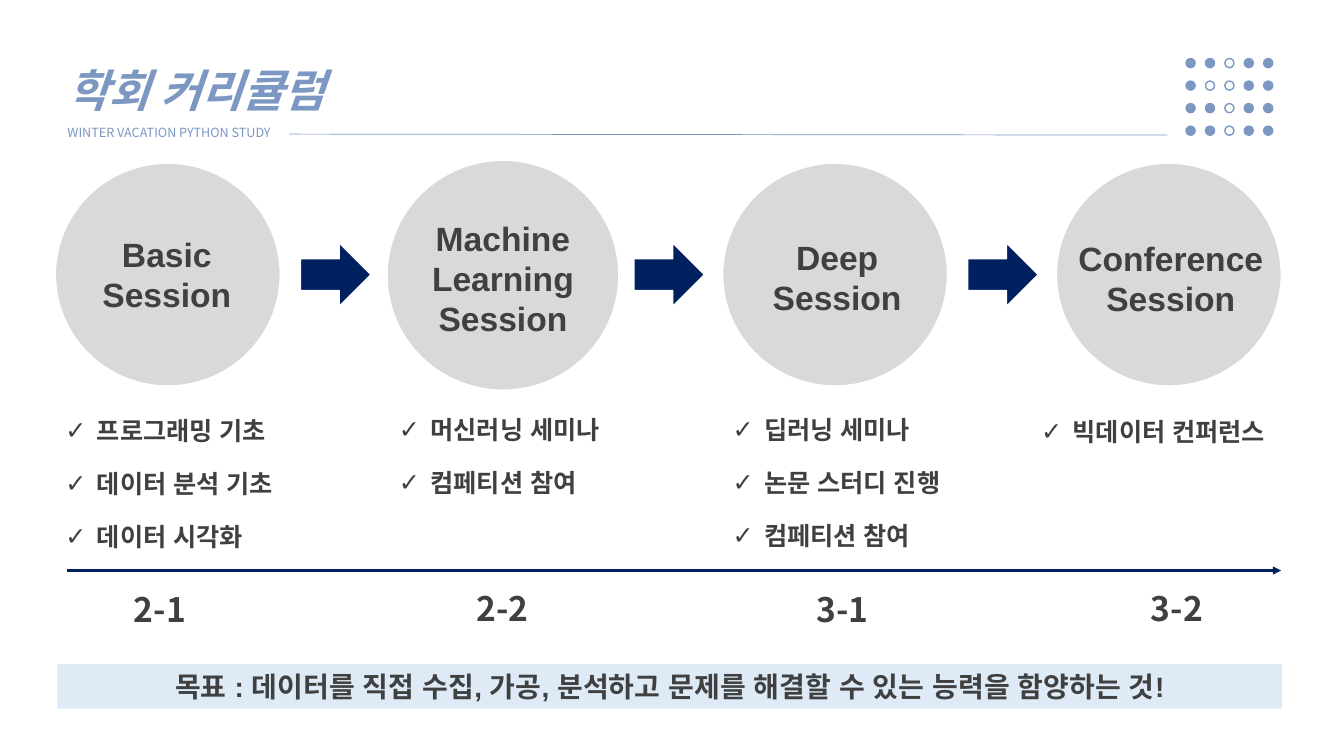
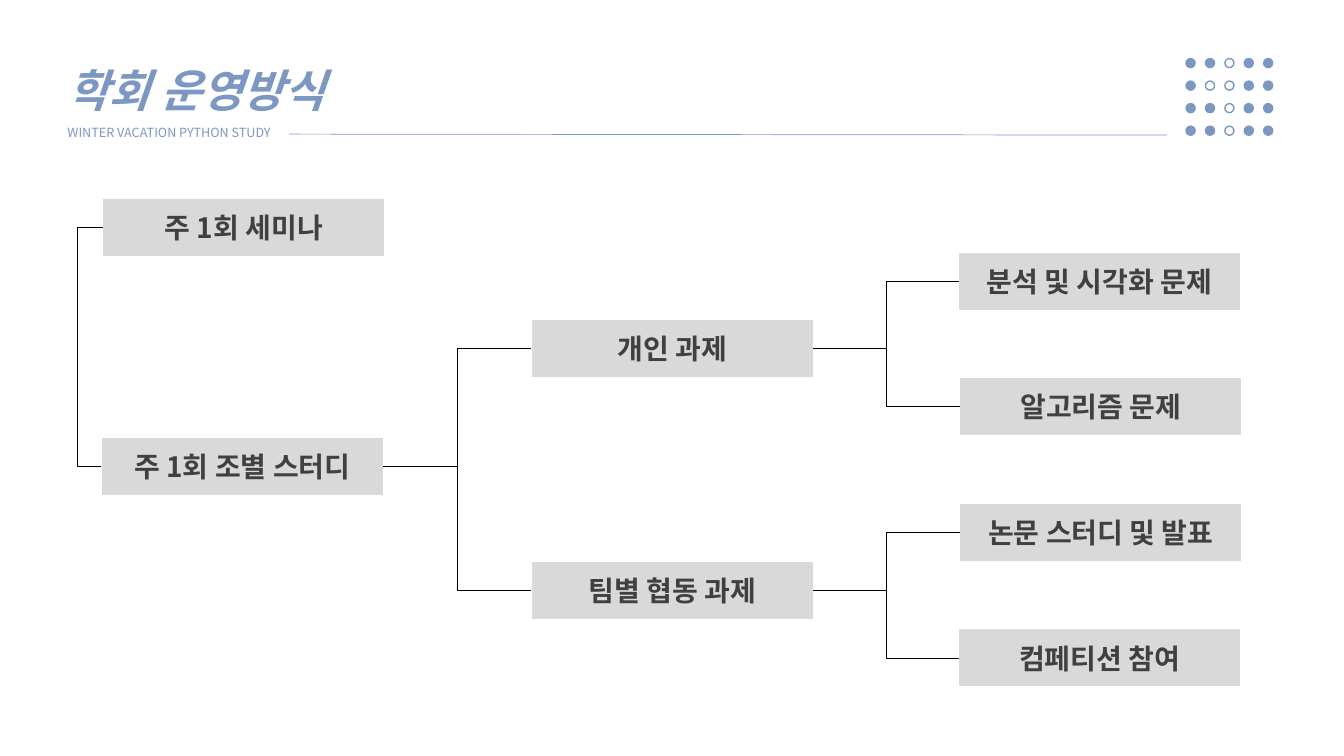
from dataclasses import dataclass
from typing import NamedTuple

from lxml import etree
from pptx import Presentation
from pptx.dml.color import RGBColor
from pptx.enum.shapes import MSO_CONNECTOR, MSO_SHAPE
from pptx.enum.text import MSO_ANCHOR, MSO_AUTO_SIZE, PP_ALIGN
from pptx.oxml.ns import qn
from pptx.util import Pt

STRAIGHT, ELBOW = MSO_CONNECTOR.STRAIGHT, MSO_CONNECTOR.ELBOW
OVAL, RECTANGLE, RIGHT_ARROW = MSO_SHAPE.OVAL, MSO_SHAPE.RECTANGLE, MSO_SHAPE.RIGHT_ARROW
TOP, MIDDLE = MSO_ANCHOR.TOP, MSO_ANCHOR.MIDDLE
LEFT, CENTER = PP_ALIGN.LEFT, PP_ALIGN.CENTER
NO_AUTOFIT = MSO_AUTO_SIZE.NONE

BLUE, NAVY, PALE_BLUE = "7C97C2", "002060", "DEEBF7"
GRAY, DARK, WHITE, BLACK = "D9D9D9", "404040", "FFFFFF", "000000"
KOREAN, LATIN = "Noto Sans CJK KR", "Arial"

SUBTITLE = "WINTER VACATION PYTHON STUDY"
DOT_ROWS = ("●●○●●", "●○○●●", "●●○●●", "●●○●●")
GOAL = "목표 : 데이터를 직접 수집, 가공, 분석하고 문제를 해결할 수 있는 능력을 함양하는 것!"
STAGE_PITCH = 238.3
LEFT_SIDE, RIGHT_SIDE = 1, 3


class Box(NamedTuple):
    """Left, top, width and height in points."""
    left: float
    top: float
    width: float
    height: float


@dataclass(frozen=True)
class TextStyle:
    """Look of a run of text."""
    size: float
    font: str = LATIN
    color: str = DARK
    bold: bool = True
    italic: bool = False


@dataclass(frozen=True)
class Stage:
    """One session of the curriculum."""
    name: tuple[str, ...]
    circle: Box
    label: Box
    topics: tuple[str, ...]
    topics_box: Box
    term: str
    term_box: Box


class Node(NamedTuple):
    """One box of the activity tree."""
    text: str
    left: float
    top: float


TITLE_STYLE = TextStyle(32, KOREAN, BLUE, italic=True)
SUBTITLE_STYLE = TextStyle(9, KOREAN, BLUE, bold=False)
SESSION_STYLE, TOPIC_STYLE, GOAL_STYLE = TextStyle(24), TextStyle(18), TextStyle(20)
TERM_STYLE, NODE_STYLE = TextStyle(24, KOREAN), TextStyle(20, KOREAN)

STAGES = (
    Stage(("Basic", "Session"), Box(39.6, 116.6, 160.6, 159.1), Box(39.6, 163.4, 159.1, 65.5),
          ("프로그래밍 기초", "데이터 분석 기초", "데이터 시각화"),
          Box(39.6, 277.2, 183, 116), "2-1", Box(88.6, 416.9, 63.4, 36)),
    Stage(("Machine", "Learning", "Session"), Box(276.5, 114.5, 165.6, 164.2),
          Box(277.9, 151.9, 162.7, 94.3), ("머신러닝 세미나", "컴페티션 참여"),
          Box(277.9, 276.5, 174.2, 77.8), "2-2", Box(333.4, 416.2, 63.4, 36)),
    Stage(("Deep", "Session"), Box(516.2, 116.6, 160.6, 159.1), Box(518.4, 165.6, 159.1, 65.5),
          ("딥러닝 세미나", "논문 스터디 진행", "컴페티션 참여"),
          Box(516.2, 276.5, 183, 116), "3-1", Box(576, 416.9, 63.4, 36)),
    Stage(("Conference", "Session"), Box(754.6, 116.6, 160.6, 159.1),
          Box(756.7, 166.3, 159.1, 65.5), ("빅데이터 컨퍼런스",),
          Box(736.6, 277.9, 194.4, 39.6), "3-2", Box(815, 416.2, 63.4, 36)),
)
NODES = {
    "seminar": Node("주 1회 세미나", 73.3, 141.8),
    "study": Node("주 1회 조별 스터디", 72.3, 312.5),
    "personal": Node("개인 과제", 379.4, 228.2),
    "team": Node("팀별 협동 과제", 379.4, 401),
    "analysis": Node("분석 및 시각화 문제", 684.7, 180),
    "algorithm": Node("알고리즘 문제", 685.6, 269.5),
    "paper": Node("논문 스터디 및 발표", 685.6, 359.5),
    "competition": Node("컴페티션 참여", 684.7, 449),
}
BRANCHES = {
    "study": ("personal", "team"),
    "personal": ("analysis", "algorithm"),
    "team": ("paper", "competition"),
}


def color_of(value: str) -> RGBColor:
    """Turn a hex string into a colour."""
    return RGBColor.from_string(value)


def in_points(values) -> list:
    """Turn numbers into point lengths."""
    return [Pt(value) for value in values]


def write_lines(frame, lines, align=LEFT, spacing=None, bullet=None) -> None:
    """Write pairs of text and style as paragraphs of a text frame."""
    for index, (text, style) in enumerate(lines):
        paragraph = frame.add_paragraph() if index else frame.paragraphs[0]
        if bullet:
            properties = paragraph._p.get_or_add_pPr()
            properties.set("marL", str(Pt(22.5)))
            properties.set("indent", str(-Pt(22.5)))
            etree.SubElement(properties, qn("a:buFont"), typeface=LATIN)
            etree.SubElement(properties, qn("a:buChar"), char=bullet)
        paragraph.alignment = align
        if spacing:
            paragraph.line_spacing = spacing
        run = paragraph.add_run()
        run.text = text
        font = run.font
        font.size, font.name = Pt(style.size), style.font
        font.bold, font.italic = style.bold, style.italic
        font.color.rgb = color_of(style.color)
        etree.SubElement(run._r.get_or_add_rPr(), qn("a:ea"), typeface=style.font)


def add_text(slide, box: Box, lines, align=LEFT, spacing=None, bullet=None) -> None:
    """Add a wrapping text box."""
    frame = slide.shapes.add_textbox(*in_points(box)).text_frame
    frame.word_wrap = True
    write_lines(frame, lines, align, spacing, bullet)


def add_figure(slide, kind, box: Box, fill: str | None, line: str | None):
    """Add a flat preset shape."""
    shape = slide.shapes.add_shape(kind, *in_points(box))
    shape.shadow.inherit = False
    if fill:
        shape.fill.solid()
        shape.fill.fore_color.rgb = color_of(fill)
    else:
        shape.fill.background()
    if line:
        shape.line.color.rgb = color_of(line)
        shape.line.width = Pt(1)
    else:
        shape.line.fill.background()
    return shape


def add_line(slide, kind, ends, color: str, width: float):
    """Add a connector without a shadow."""
    connector = slide.shapes.add_connector(kind, *in_points(ends))
    connector.line.color.rgb = color_of(color)
    connector.line.width = Pt(width)
    etree.SubElement(connector._element.spPr, qn("a:effectLst"))
    return connector


def add_elbow(slide, start, start_side: int, end, bend: int | None = None) -> None:
    """Join two boxes with an elbow, ending at a left side."""
    connector = add_line(slide, ELBOW, (0, 0, 0, 0), BLACK, 0.5)
    connector.begin_connect(start, start_side)
    connector.end_connect(end, LEFT_SIDE)
    if bend:
        adjustments = connector._element.spPr.find(qn("a:prstGeom")).get_or_add_avLst()
        etree.SubElement(adjustments, qn("a:gd"), name="adj1", fmla=f"val {bend}")


def add_titled_slide(presentation, title: str):
    """Add a slide with the shared header."""
    slide = presentation.slides.add_slide(presentation.slide_layouts[5])
    placeholder = slide.shapes.title
    placeholder.left, placeholder.top, placeholder.width, placeholder.height = in_points(
        (41, 22.3, 544.3, 79.9))
    frame = placeholder.text_frame
    frame.word_wrap, frame.auto_size, frame.vertical_anchor = True, NO_AUTOFIT, TOP
    write_lines(frame, ((title, TITLE_STYLE), (SUBTITLE, SUBTITLE_STYLE)), spacing=1.5)
    add_line(slide, STRAIGHT, (206.6, 95.8, 833.8, 96.5), BLUE, 0.5)
    for row, dots in enumerate(DOT_ROWS):
        for column, dot in enumerate(dots):
            box = Box(847.2 + 13.85 * column, 41.8 + 16.1 * row, 6.5, 6.5)
            add_figure(slide, OVAL, box, BLUE if dot == "●" else None, BLUE)
    return slide


def add_curriculum(presentation) -> None:
    """Build the curriculum slide."""
    slide = add_titled_slide(presentation, "학회 커리큘럼")
    for index, stage in enumerate(STAGES):
        add_figure(slide, OVAL, stage.circle, GRAY, WHITE)
        if index:
            arrow = Box(214.6 + STAGE_PITCH * (index - 1), 173.5, 50.4, 45.4)
            add_figure(slide, RIGHT_ARROW, arrow, NAVY, WHITE)
        add_text(slide, stage.label, [(word, SESSION_STYLE) for word in stage.name], CENTER)
        add_text(slide, stage.topics_box, [(topic, TOPIC_STYLE) for topic in stage.topics],
                 spacing=1.75, bullet="✓")
        add_text(slide, stage.term_box, [(stage.term, TERM_STYLE)])
    timeline = add_line(slide, STRAIGHT, (48.2, 407.5, 915.1, 407.5), NAVY, 1.5)
    etree.SubElement(timeline.line._get_or_add_ln(), qn("a:tailEnd"), type="triangle")
    goal = add_figure(slide, RECTANGLE, Box(41, 474.5, 874.8, 31.7), PALE_BLUE, None)
    goal.text_frame.vertical_anchor = TOP
    write_lines(goal.text_frame, [(GOAL, GOAL_STYLE)], CENTER)


def add_activities(presentation) -> None:
    """Build the activity tree slide."""
    slide = add_titled_slide(presentation, "학회 운영방식")
    boxes = {}
    for key, node in NODES.items():
        shape = add_figure(slide, RECTANGLE, Box(node.left, node.top, 201.6, 41.8), GRAY, WHITE)
        shape.text_frame.vertical_anchor = MIDDLE
        write_lines(shape.text_frame, [(node.text, NODE_STYLE)], CENTER)
        boxes[key] = shape
    add_elbow(slide, boxes["seminar"], LEFT_SIDE, boxes["study"], bend=1800000)
    for parent, children in BRANCHES.items():
        for child in children:
            add_elbow(slide, boxes[parent], RIGHT_SIDE, boxes[child])


def main() -> None:
    """Build and save the presentation."""
    presentation = Presentation()
    presentation.slide_width, presentation.slide_height = Pt(960), Pt(540)
    add_curriculum(presentation)
    add_activities(presentation)
    presentation.save("out.pptx")


if __name__ == "__main__":
    main()
